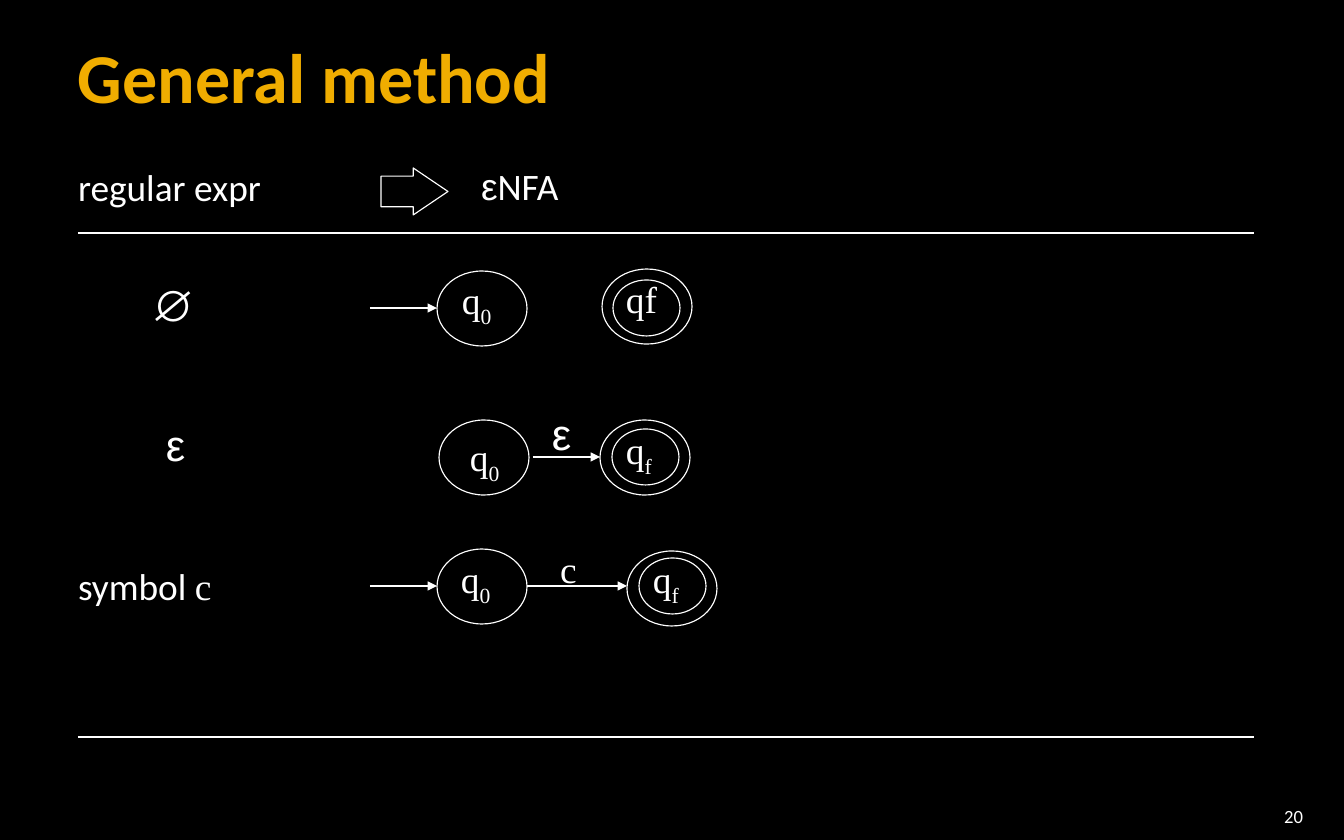
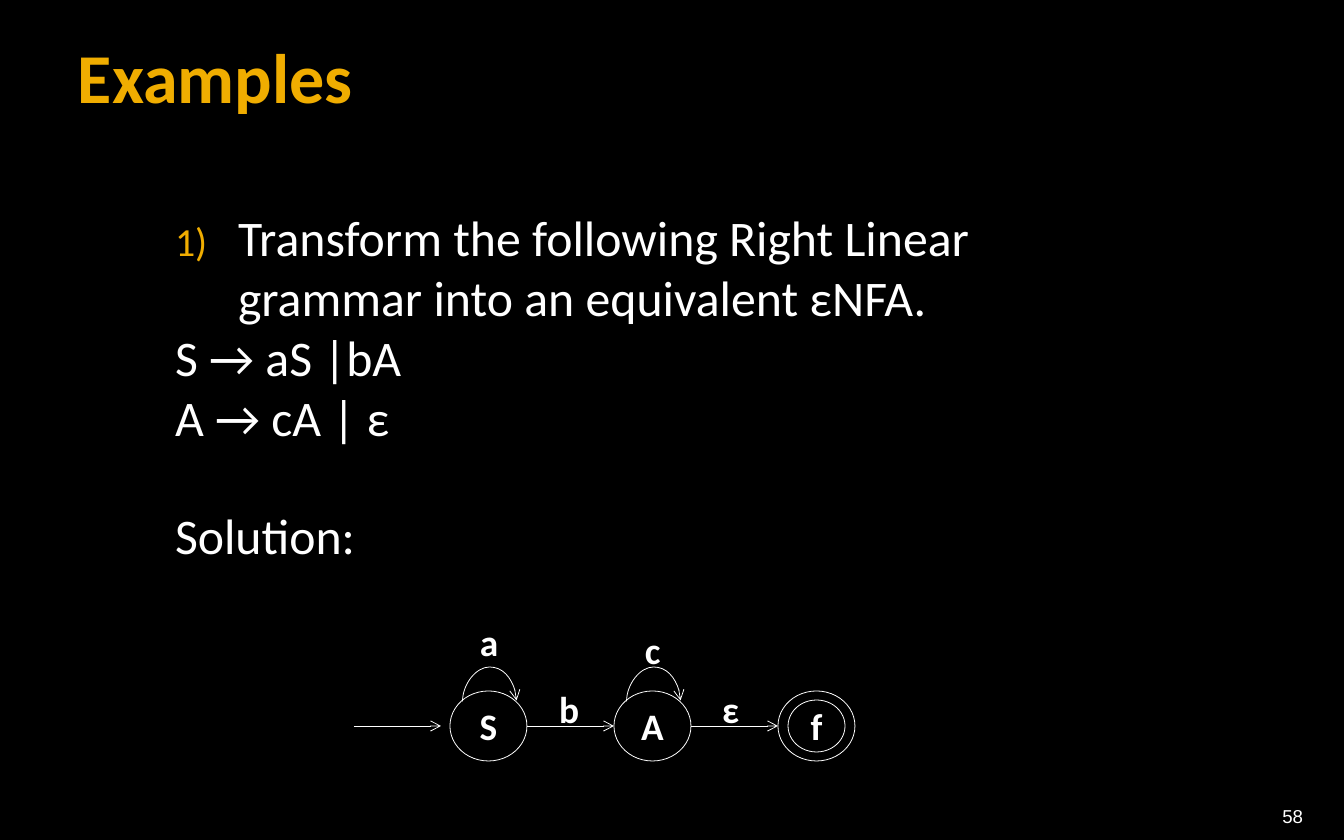
from lxml.etree import SubElement as Sub
from pptx import Presentation
from pptx.dml.color import RGBColor as Rgb
from pptx.enum.shapes import MSO_CONNECTOR as Con, MSO_SHAPE as Kind
from pptx.enum.text import MSO_ANCHOR as Anchor, MSO_AUTO_SIZE as Auto, PP_ALIGN as Align
from pptx.oxml.ns import qn
from pptx.util import Pt

# Shared look
HUE = {"back": "000000", "ink": "FFFFFF", "gold": "F0AD00"}
SANS, SERIF, PLAIN = "Calibri", "Times New Roman", "Arial"
SCALE = 914400 / 112
THIN, FINE = 0.75, 0.5

# Content of slide 1: boxes are x, y, width, height
WORDS = [
    ((67, 159, 211, 57), [("regular expr", {})], 24),
    ((470, 158, 110, 57), [("ε", {"font": PLAIN}), ("NFA", {})], 24),
    ((140, 272, 58, 64), [("∅", {"font": PLAIN})], 28),
    ((155, 412, 41, 64), [("ε", {"font": PLAIN})], 28),
    ((67, 558, 157, 57), [("symbol ", {}), ("c", {"font": SERIF})], 24),
    ((541, 401, 41, 64), [("ε", {"font": PLAIN})], 28),
    ((549, 541, 38, 57), [("c", {"font": SERIF})], 24),
]
RULES = (233, 737)
START = [("q", {}), ("0", {"sub": True})]
FINAL = [("q", {}), ("f", {"sub": True})]
# Place of the ring, label, place and width of the label, place of the inner ring
STATES = [
    ((437, 271), START, (451, 272, 53), None),
    ((602, 269), [("qf", {})], (615, 271, 56), (613, 280)),
    ((439, 420), START, (459, 429, 53), None),
    ((600, 420), FINAL, (615, 422, 50), (612, 429)),
    ((437, 549), START, (450, 551, 53), None),
    ((627, 551), FINAL, (642, 551, 50), (639, 558)),
]
MOVES = [(370, 437, 308), (533, 600, 457), (370, 437, 586), (527, 627, 586)]

# Content of slide 2
TASK = [
    "Transform the following Right Linear grammar into an equivalent εNFA.",
    "S → aS |bA",
    "A → cA | ε",
    "Solution:",
]
NODES = ["S", "Α", "f"]
LOOPS = [("a", (469, 614, 41, 57)), ("c", (634, 622, 38, 56))]
EDGES = [("b", (548, 681, 43, 56)), ("ε", (711, 681, 40, 56))]


def px(*nums):
    return [round(n * SCALE) for n in nums]


def tint(name):
    return Rgb.from_string(HUE[name])


def write(para, parts, font=SANS, size=24, hue="ink", bold=False, align=None):
    """Add text, or pairs of text and format, to a paragraph."""
    para.alignment = align
    if isinstance(parts, str):
        parts = [(parts, {})]
    for text, own in parts:
        run = para.add_run()
        run.text = text
        run.font.name = own.get("font", font)
        run.font.size = Pt(size)
        run.font.bold = bold
        run.font.color.rgb = tint(hue)
        if own.get("sub"):
            run._r.get_or_add_rPr().set("baseline", "-25000")


def frame(slide, box, pads, anchor=Anchor.TOP):
    tf = slide.shapes.add_textbox(*px(*box)).text_frame
    tf.word_wrap = True
    tf.vertical_anchor = anchor
    tf.margin_left, tf.margin_top, tf.margin_right, tf.margin_bottom = px(*pads)
    return tf


def label(slide, box, parts, **fmt):
    tf = slide.shapes.add_textbox(*px(*box)).text_frame
    tf.word_wrap = False
    tf.auto_size = Auto.SHAPE_TO_FIT_TEXT
    write(tf.paragraphs[0], parts, **fmt)


def shape(slide, kind, box, width, fill=None):
    item = slide.shapes.add_shape(kind, *px(*box))
    item.shadow.inherit = False
    item.line.color.rgb = tint("ink")
    item.line.width = Pt(width)
    if fill:
        item.fill.solid()
        item.fill.fore_color.rgb = tint(fill)
    else:
        item.fill.background()
    return item


def line(slide, ends, width, head=None, kind=Con.STRAIGHT):
    item = slide.shapes.add_connector(kind, *px(*ends))
    item.line.color.rgb = tint("ink")
    item.line.width = Pt(width)
    if head:
        Sub(item.line._get_or_add_ln(), qn("a:tailEnd"), type=head)
    Sub(item.element.spPr, qn("a:effectLst"))
    return item


def loop(slide, mid, y, span=54, rise=34):
    """Draw an arc that leaves a node and comes back from above."""
    half = span // 2
    arc = line(slide, (mid + 1, y + half, mid, y - half), FINE, "arrow", Con.CURVE)
    props = arc.element.spPr
    props.find(qn("a:xfrm")).set("rot", str(90 * 60000))
    geom = props.find(qn("a:prstGeom"))
    hold = geom.find(qn("a:avLst"))
    if hold is None:
        hold = Sub(geom, qn("a:avLst"))
    Sub(hold, qn("a:gd"), name="adj1", fmla=f"val {rise * 100000}")


def page(deck, title, num, font):
    slide = deck.slides.add_slide(deck.slide_layouts[6])
    slide.background.fill.solid()
    slide.background.fill.fore_color.rgb = tint("back")
    top = frame(slide, (67, 20, 1210, 112), (11, 6, 6, 6), Anchor.MIDDLE)
    write(top.paragraphs[0], title, size=45, hue="gold", bold=True)
    foot = frame(slide, (1206, 793, 108, 34), (11, 6, 11, 0), Anchor.BOTTOM)
    write(foot.paragraphs[0], num, font=font, size=12, align=Align.RIGHT)
    return slide


def method(deck):
    slide = page(deck, "General method", "20", SANS)
    for y in RULES:
        line(slide, (78, y, 1254, y), THIN)
    arrow = shape(slide, Kind.RIGHT_ARROW, (381, 168, 67, 47), THIN, "back")
    arrow.adjustments[0], arrow.adjustments[1] = 0.65, 0.74
    # Automata
    for ring, name, spot, inner in STATES:
        shape(slide, Kind.OVAL, (*ring, 90, 75), THIN)
        if inner:
            shape(slide, Kind.OVAL, (*inner, 67, 56), THIN)
        label(slide, (*spot, 57), name, font=SERIF)
    for left, right, y in MOVES:
        line(slide, (left, y, right, y), THIN, "triangle")
    for box, parts, size in WORDS:
        label(slide, box, parts, size=size)


def examples(deck):
    slide = page(deck, "Examples", "58", PLAIN)
    # Task text, numbered on its first line
    body = frame(slide, (168, 196, 1000, 435), (7, 11, 11, 6))
    for i, text in enumerate(TASK):
        para = body.paragraphs[0] if i == 0 else body.add_paragraph()
        props = para._p.get_or_add_pPr()
        (dent,) = px(63)
        props.set("marL", str(dent))
        props.set("indent", str(-dent))
        if i == 0:
            Sub(Sub(props, qn("a:buClr")), qn("a:srgbClr"), val=HUE["gold"])
            Sub(props, qn("a:buSzPct"), val="80000")
            Sub(props, qn("a:buAutoNum"), type="arabicParenR")
        else:
            Sub(props, qn("a:buNone"))
        if text == TASK[-1]:
            para.space_before = Pt(38)
        write(para, text, size=32)
    # Automaton: nodes at an equal pitch
    left, top, wide, high, pitch = 450, 691, 77, 70, 164
    mid = top + high // 2
    line(slide, (354, mid, 441, mid), FINE, "arrow")
    for i, name in enumerate(NODES):
        x = left + i * pitch
        node = shape(slide, Kind.OVAL, (x, top, wide, high), FINE, "back")
        if name == NODES[-1]:
            node = shape(slide, Kind.OVAL, (x + 10, top + 9, 57, 52), FINE, "back")
        else:
            line(slide, (x + wide, mid, x + pitch, mid), FINE, "arrow")
            loop(slide, x + wide // 2 + 1, 701)
        node.text_frame.vertical_anchor = Anchor.MIDDLE
        write(node.text_frame.paragraphs[0], name, bold=True, align=Align.CENTER)
    for name, box in LOOPS + EDGES:
        label(slide, box, name, bold=True)


def main():
    deck = Presentation()
    deck.slide_width, deck.slide_height = px(1344, 840)
    method(deck)
    examples(deck)
    deck.save("out.pptx")


if __name__ == "__main__":
    main()
